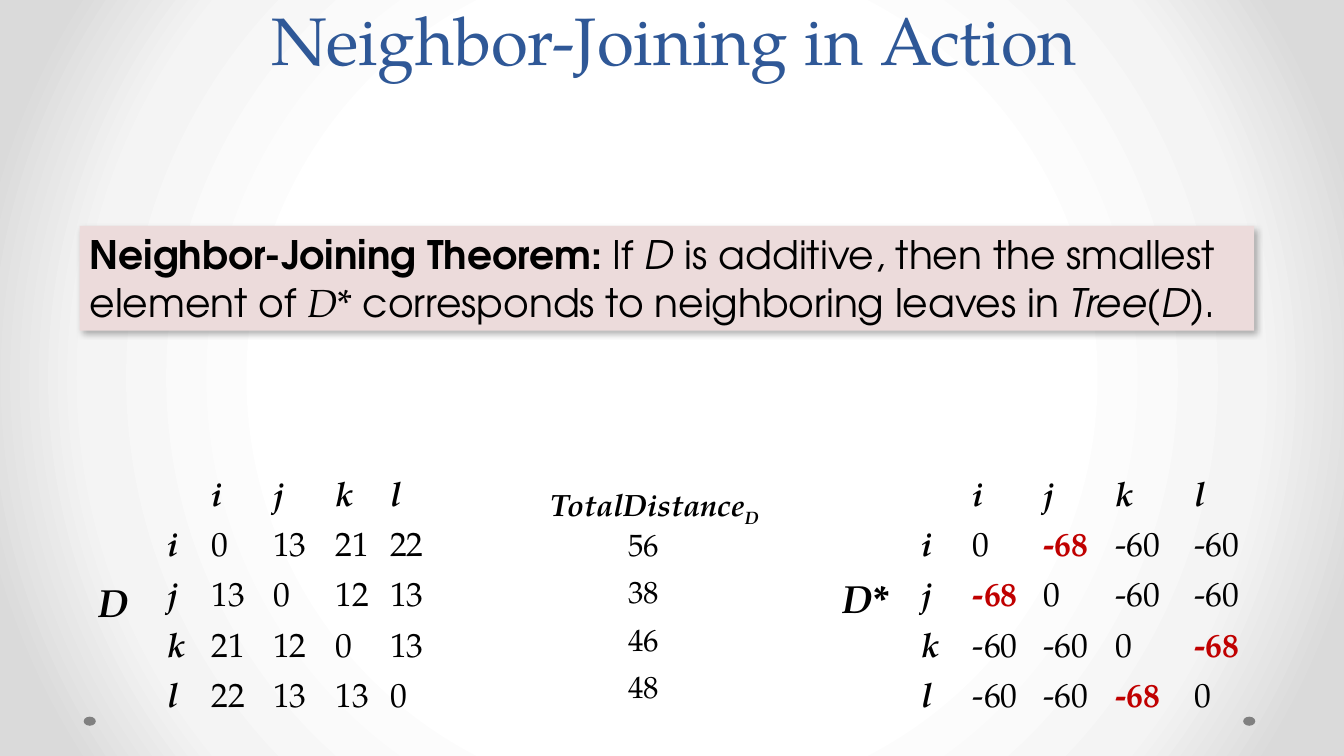
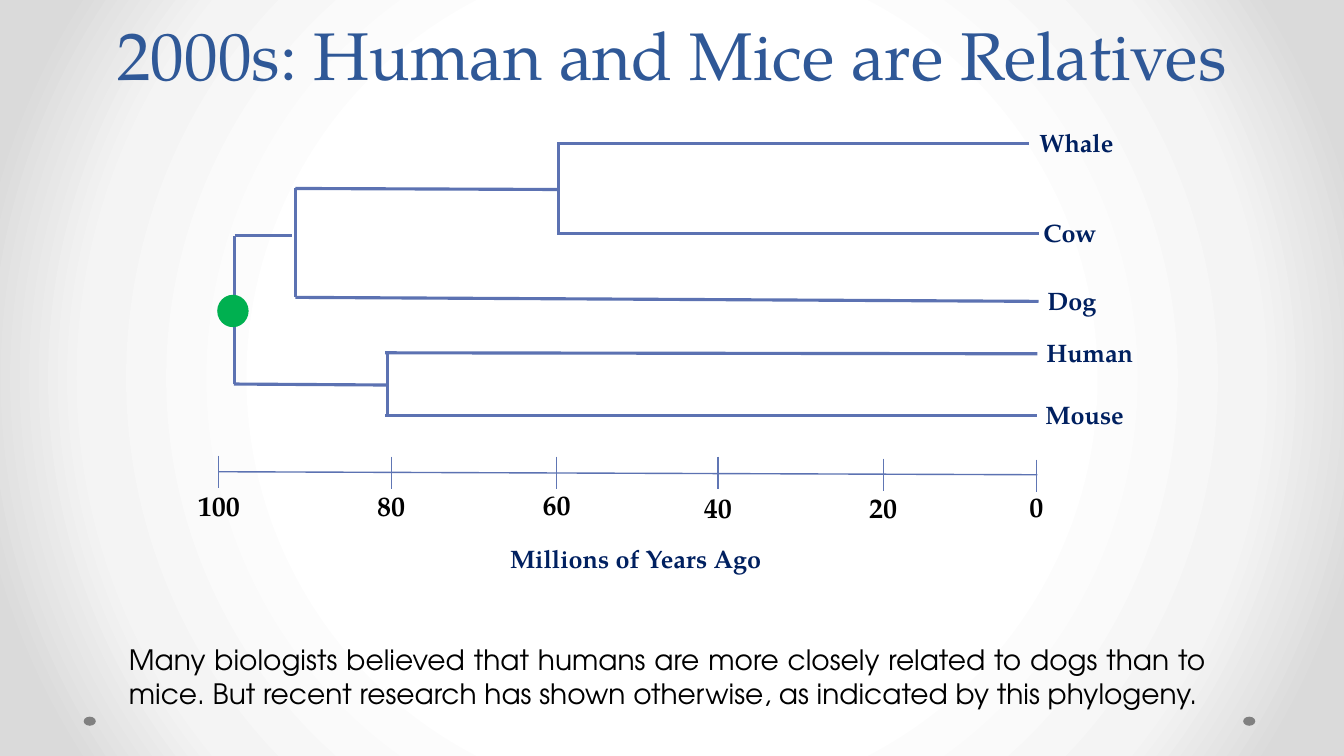
from pptx import Presentation
from pptx.dml.color import RGBColor as RGB
from pptx.enum.shapes import MSO_CONNECTOR as Link, MSO_SHAPE as Form
from pptx.enum.text import MSO_ANCHOR as Anchor, MSO_AUTO_SIZE as Fit, PP_ALIGN as Align
from pptx.oxml import parse_xml
from pptx.oxml.ns import nsdecls, qn
from pptx.util import Inches, Pt


class Theme:
    serif = "TeX Gyre Pagella"
    sans = "TeX Gyre Adventor"
    black = "000000"
    blue = "2F5897"
    navy = "002060"
    red = "C00000"
    green = "00B050"
    gray = "808080"
    rose = "ECDBDB"
    branch = "5C72B2"
    tick = "6076B4"
    glow = [(50, "FFFFFF"), (76, "F4F4F4"), (92, "DADADA")]
    title = 48
    lead = 58
    large = 28
    cell = 24
    total = 22
    body = 20
    small = 18


def write(frame, text, size=Theme.body, font=Theme.serif, color=Theme.black,
          bold=False, ital=False, align=Align.LEFT, base=0):
    para = frame.paragraphs[0]
    para.alignment = align
    run = para.add_run()
    run.text = text
    face = run.font
    face.size, face.name = Pt(size), font
    face.bold, face.italic = bold, ital
    face.color.rgb = RGB.from_string(color)
    if base:
        run._r.get_or_add_rPr().set("baseline", str(base * 1000))


def label(page, text, left, top, wide, high, wrap=False, **look):
    box = page.shapes.add_textbox(Inches(left), Inches(top), Inches(wide), Inches(high))
    frame = box.text_frame
    frame.word_wrap = wrap
    frame.auto_size = Fit.SHAPE_TO_FIT_TEXT
    write(frame, text, **look)
    return frame


deck = Presentation()
deck.slide_width, deck.slide_height = Inches(13.33), Inches(7.5)
plan = deck.slide_layouts[5]

master = deck.slide_master
master.background.fill.solid()
back = master.element.find(".//" + qn("p:bgPr"))
stops = "".join(
    f'<a:gs pos="{pos * 1000}"><a:srgbClr val="{color}"/></a:gs>' for pos, color in Theme.glow)
back.replace(back[0], parse_xml(
    f'<a:gradFill {nsdecls("a")} rotWithShape="1"><a:gsLst>{stops}</a:gsLst>'
    '<a:path path="circle"><a:fillToRect l="50000" t="50000" r="50000" b="50000"/></a:path>'
    '</a:gradFill>'))

pages = []
for text, left, wide, high in [
    ("Neighbor-Joining in Action", 0.69, 12, 0.83),
    ("2000s: Human and Mice are Relatives", 0.33, 12.67, 0.98),
]:
    page = deck.slides.add_slide(plan)
    head = page.shapes.title
    head.left, head.top = Inches(left), Inches(0)
    head.width, head.height = Inches(wide), Inches(high)
    frame = head.text_frame
    frame.vertical_anchor = Anchor.BOTTOM
    frame.auto_size = Fit.NONE
    write(frame, text, size=Theme.title, color=Theme.blue, align=Align.CENTER)
    frame.paragraphs[0].line_spacing = Pt(Theme.lead)
    pages.append(page)
join, tree = pages

for num, left in enumerate([12.33, 0.83]):
    dot = join.shapes.add_shape(
        Form.OVAL, Inches(left), Inches(7.11), Inches(0.12), Inches(0.09))
    dot.shadow.inherit = False
    dot.fill.solid()
    dot.fill.fore_color.rgb = RGB.from_string(Theme.gray)
    dot.line.fill.background()
    dot.element.nvSpPr.cNvPr.id = 20 + num
    plan.shapes.element.append(dot.element)

card = join.shapes.add_shape(
    Form.RECTANGLE, Inches(0.79), Inches(2.24), Inches(11.65), Inches(1.04))
card.fill.solid()
card.fill.fore_color.rgb = RGB.from_string(Theme.rose)
card.line.fill.background()
card.element.spPr.append(parse_xml(
    f'<a:effectLst {nsdecls("a")}><a:outerShdw blurRad="{Pt(4.5)}" dist="{Pt(2.6)}" '
    f'dir="{53 * 60000}" algn="tl" rotWithShape="0"><a:srgbClr val="{Theme.black}">'
    '<a:alpha val="30000"/></a:srgbClr></a:outerShdw></a:effectLst>'))
frame = card.text_frame
frame.word_wrap = True
frame.vertical_anchor = Anchor.TOP
for text, look in [
    ("Neighbor-Joining Theorem:", dict(bold=True)),
    (" If ", {}),
    ("D ", dict(ital=True)),
    ("is additive, then the smallest element of ", {}),
    ("D* ", dict(ital=True, font=Theme.serif)),
    ("corresponds to neighboring leaves in ", {}),
    ("Tree(D)", dict(ital=True)),
    (".", {}),
]:
    write(frame, text, **{"size": Theme.large, "font": Theme.sans, **look})

names = list("ijkl")
dist = [[0, 13, 21, 22], [13, 0, 12, 13], [21, 12, 0, 13], [22, 13, 13, 0]]
star = [[0, -68, -60, -60], [-68, 0, -60, -60], [-60, -60, 0, -68], [-60, -60, -68, 0]]
least = min(min(row) for row in star)
near, far = [
    [["", *names]] + [[name, *row] for name, row in zip(names, grid)] for grid in (dist, star)]
sums = [[sum(row)] for row in dist]

for rows, left, top, cols, high, size in [
    (near, 1.56, 4.73, [0.44, 0.61, 0.62, 0.54, 0.54], 0.5, Theme.cell),
    (far, 9.04, 4.73, [0.51, 0.7, 0.71, 0.79, 0.94], 0.5, Theme.cell),
    (sums, 6.13, 5.25, [0.65], 0.47, Theme.total),
]:
    hold = join.shapes.add_table(
        len(rows), len(cols), Inches(left), Inches(top),
        Inches(sum(cols)), Inches(high * len(rows)))
    hold.element.find(".//" + qn("a:tableStyleId")).text = "{2D5ABB26-0587-4C30-8999-92F81FD0307C}"
    table = hold.table
    table.first_row = table.horz_banding = False
    for col, wide in zip(table.columns, cols):
        col.width = Inches(wide)
    for r, row in enumerate(rows):
        table.rows[r].height = Inches(high)
        for c, item in enumerate(row):
            cell = table.cell(r, c)
            cell.fill.background()
            if item != "":
                name, low = item in names, item == least
                write(cell.text_frame, str(item), size=size, bold=name or low, ital=name,
                      color=Theme.red if low else Theme.black)

strong = dict(bold=True, ital=True)
label(join, "D", 0.88, 5.69, 0.51, 0.57, size=Theme.large, **strong)
label(join, "D*", 8.26, 5.65, 0.68, 0.57, size=Theme.large, **strong)
frame = label(join, "TotalDistance", 5.36, 4.77, 2.31, 0.47, size=Theme.total, **strong)
write(frame, "D", size=Theme.total, base=-25, **strong)

leaves = [
    ("Whale", 5.53, 1.42, 10.21, 1.42, 10.21, 0.95),
    ("Cow", 5.54, 2.32, 10.3, 2.32, 10.25, 0.73),
    ("Dog", 2.93, 2.95, 10.3, 2.99, 10.29, 0.69),
    ("Human", 3.82, 3.5, 10.29, 3.51, 10.28, 1.07),
    ("Mouse", 3.82, 4.12, 10.29, 4.12, 10.27, 0.99),
]
stems = [
    (2.33, 2.34, 2.33, 3.81),
    (2.93, 1.87, 2.93, 2.95),
    (3.84, 3.51, 3.84, 4.12),
    (5.54, 1.41, 5.54, 2.33),
    (2.32, 3.81, 3.84, 3.82),
    (2.33, 2.34, 2.9, 2.34),
    (2.93, 1.87, 5.54, 1.88),
]
ticks = [
    (100, 2.17, 4.52, 4.8, 0.62),
    (80, 3.88, 4.53, 4.8, 0.48),
    (60, 5.52, 4.53, 4.79, 0.48),
    (40, 7.12, 4.53, 4.82, 0.48),
    (20, 8.76, 4.55, 4.82, 0.48),
    (0, 10.28, 4.56, 4.81, 0.34),
]

lines = [(*ends, Theme.branch, 2.25) for ends in stems]
lines += [(*leaf[1:5], Theme.branch, 2.25) for leaf in leaves]
lines.append((2.17, 4.68, 10.29, 4.71, Theme.branch, 1))
lines += [(x, y, x, y + 0.32, Theme.tick, 1) for _, x, y, *_ in ticks]
for *ends, color, thick in lines:
    line = tree.shapes.add_connector(Link.STRAIGHT, *map(Inches, ends))
    line.line.color.rgb = RGB.from_string(color)
    line.line.width = Pt(thick)
    line.element.find(qn("p:spPr")).append(parse_xml(f'<a:effectLst {nsdecls("a")}/>'))

root = tree.shapes.add_shape(
    Form.OVAL, Inches(2.17), Inches(2.94), Inches(0.28), Inches(0.29))
root.shadow.inherit = False
root.fill.solid()
root.fill.fore_color.rgb = root.line.color.rgb = RGB.from_string(Theme.green)
root.line.width = Pt(2.25)

note = dict(size=Theme.small, color=Theme.navy, bold=True)
for name, *_, y, x, wide in leaves:
    label(tree, name, x, y - 0.21, wide, 0.4, **note)
for age, x, _, top, wide in ticks:
    label(tree, str(age), x - wide / 2, top, wide, 0.44, bold=True, align=Align.CENTER)
label(tree, "Millions of Years Ago", 4.95, 5.34, 2.71, 0.4, align=Align.CENTER, **note)
label(tree, "Many biologists believed that humans are more closely related to dogs than to mice. "
      "But recent research has shown otherwise, as indicated by this phylogeny.",
      1.18, 6.33, 10.88, 0.77, wrap=True, font=Theme.sans, align=Align.JUSTIFY)

deck.save("out.pptx")
